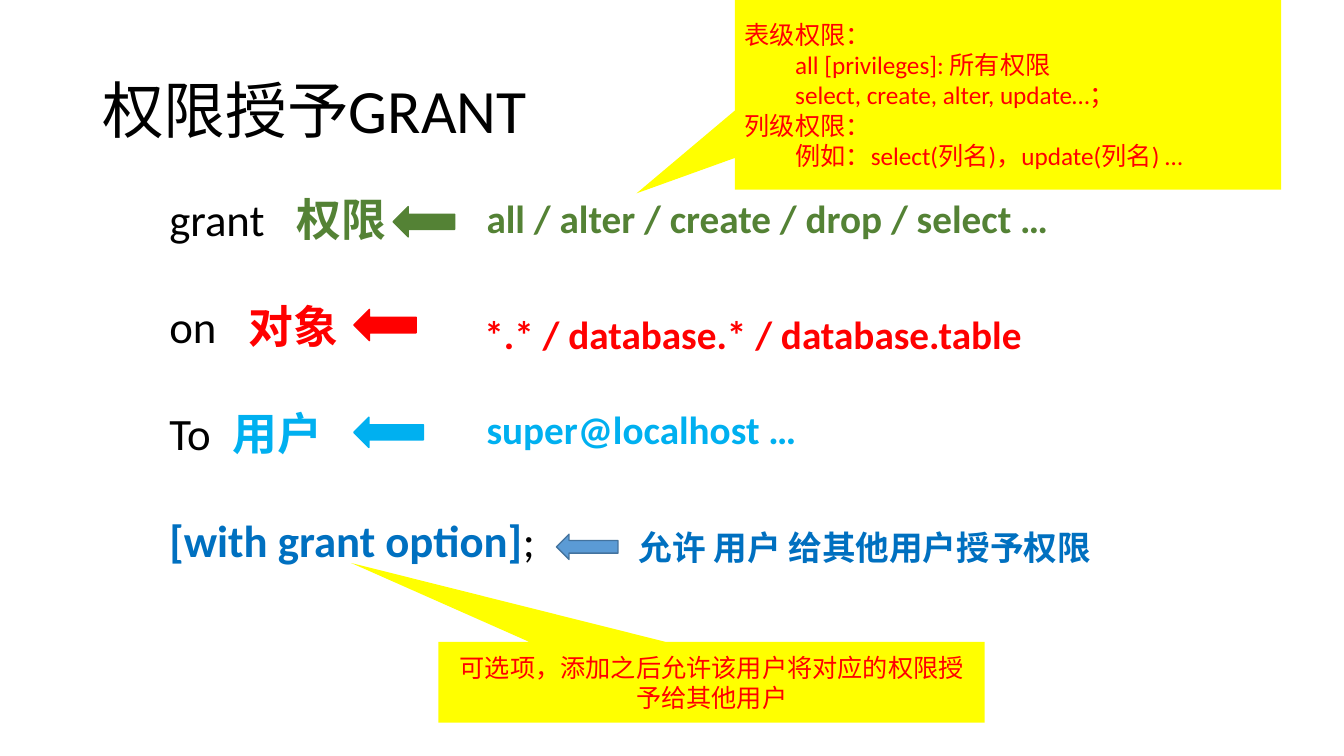
from pptx import Presentation
from pptx.dml.color import RGBColor
from pptx.enum.shapes import MSO_SHAPE
from pptx.enum.text import MSO_ANCHOR, PP_ALIGN
from pptx.oxml.ns import qn
from pptx.util import Pt
from lxml.etree import SubElement

FONT = "Calibri"
COLORS = {
    "black": "000000", "green": "548235", "red": "FF0000", "sky": "00B0F0",
    "blue": "0070C0", "yellow": "FFFF00", "steel": "5B9BD5", "steel edge": "43739E",
}

# Content: lengths in points, boxes as left, top, width, height
TITLE = "权限授予GRANT"
# Each clause: tab stop before the second part, then (text, color, bold) spans
CLAUSES = [
    (91, [("grant\t", "black", False), ("权限", "green", True)]),
    (56.5, [("on\t", "black", False), ("对象", "red", True)]),
    (45, [("To\t", "black", False), ("用户", "sky", True)]),
    (None, [("[with grant option]", "blue", True), (";", "black", False)]),
]
# Each explanation: text, size, color, box, alignment, wrapping
EXPLANATIONS = [
    ("all / alter / create / drop / select …", 28, "green",
     (340.5, 135.4, 420.5, 41), PP_ALIGN.LEFT, False),
    ("*.* / database.* / database.table", 28, "red",
     (334.8, 218.2, 406, 41), PP_ALIGN.CENTER, True),
    ("super@localhost …", 28, "sky",
     (340.5, 285.8, 240.5, 41), PP_ALIGN.LEFT, False),
    ("允许 用户 给其他用户授予权限", 24, "blue",
     (446.4, 373, 342.7, 36), PP_ALIGN.CENTER, True),
]
# Each arrow: box, fill, edge
ARROWS = [
    ((280.8, 147.6, 44, 21.6), "green", "green"),
    ((252.7, 221, 44.6, 22.3), "red", "red"),
    ((252.7, 298, 49.7, 21.6), "sky", "sky"),
    ((397.4, 381.6, 44, 18), "steel", "steel edge"),
]
# Each callout: box, pointer offsets, alignment, lines
CALLOUTS = [
    ((313.2, 458.6, 390.2, 57.6), (-0.66, -1.48), PP_ALIGN.CENTER,
     ["可选项，添加之后允许该用户将对应的权限授予给其他用户"]),
    ((524.9, 0, 390.2, 135.4), (-0.68, 0.52), PP_ALIGN.LEFT,
     ["表级权限：", "\tall [privileges]: 所有权限", "\tselect, create, alter, update…；",
      "列级权限：", "\t例如：select(列名)，update(列名) …"]),
]


def color(name):
    return RGBColor.from_string(COLORS[name])


def style(span, size, name, bold=False):
    span.font.name = FONT
    span.font.size = Pt(size)
    span.font.bold = bold
    span.font.color.rgb = color(name)


def add_text(page, bounds, text, size, name, bold=False, align=PP_ALIGN.LEFT, wrap=True):
    box = page.shapes.add_textbox(*map(Pt, bounds))
    box.text_frame.word_wrap = wrap
    box.text_frame.text = text
    para = box.text_frame.paragraphs[0]
    para.alignment = align
    for span in para.runs:
        style(span, size, name, bold)
    return box


def add_figure(page, kind, bounds, fill):
    figure = page.shapes.add_shape(kind, *map(Pt, bounds))
    figure.shadow.inherit = False
    figure.fill.solid()
    figure.fill.fore_color.rgb = color(fill)
    return figure


def add_clauses(page):
    box = page.shapes.add_textbox(Pt(113.8), Pt(133.2), Pt(278), Pt(278.6))
    frame = box.text_frame
    frame.word_wrap = False
    for index, (stop, spans) in enumerate(CLAUSES):
        para = frame.paragraphs[0] if index == 0 else frame.add_paragraph()
        if stop:
            tabs = SubElement(para._p.get_or_add_pPr(), qn("a:tabLst"))
            SubElement(tabs, qn("a:tab"), pos=str(Pt(stop)), algn="l")
        if index:
            para.space_before = Pt(38)
        for text, name, bold in spans:
            span = para.add_run()
            span.text = text
            style(span, 32, name, bold)


def main():
    deck = Presentation()
    deck.slide_width, deck.slide_height = Pt(960), Pt(540)
    page = deck.slides.add_slide(deck.slide_layouts[6])

    # Title and statement
    title = add_text(page, (66, 28.8, 828, 104.4), TITLE, 44, "black")
    title.text_frame.vertical_anchor = MSO_ANCHOR.MIDDLE
    title.text_frame.paragraphs[0].line_spacing = 0.9
    add_clauses(page)

    # Explanations and the arrows from them
    for text, size, name, bounds, align, wrap in EXPLANATIONS:
        add_text(page, bounds, text, size, name, True, align, wrap)
    for bounds, fill, edge in ARROWS:
        arrow = add_figure(page, MSO_SHAPE.RIGHT_ARROW, bounds, fill)
        arrow.rotation = 180
        arrow.line.color.rgb = color(edge)
        arrow.line.width = Pt(1)

    # Callouts
    for bounds, pointer, align, lines in CALLOUTS:
        callout = add_figure(page, MSO_SHAPE.RECTANGULAR_CALLOUT, bounds, "yellow")
        callout.line.fill.background()
        callout.adjustments[0], callout.adjustments[1] = pointer
        frame = callout.text_frame
        frame.word_wrap = True
        frame.vertical_anchor = MSO_ANCHOR.MIDDLE
        frame.text = "\n".join(lines)
        for para in frame.paragraphs:
            para.alignment = align
            for span in para.runs:
                style(span, 18, "red")

    deck.save("out.pptx")


if __name__ == "__main__":
    main()
